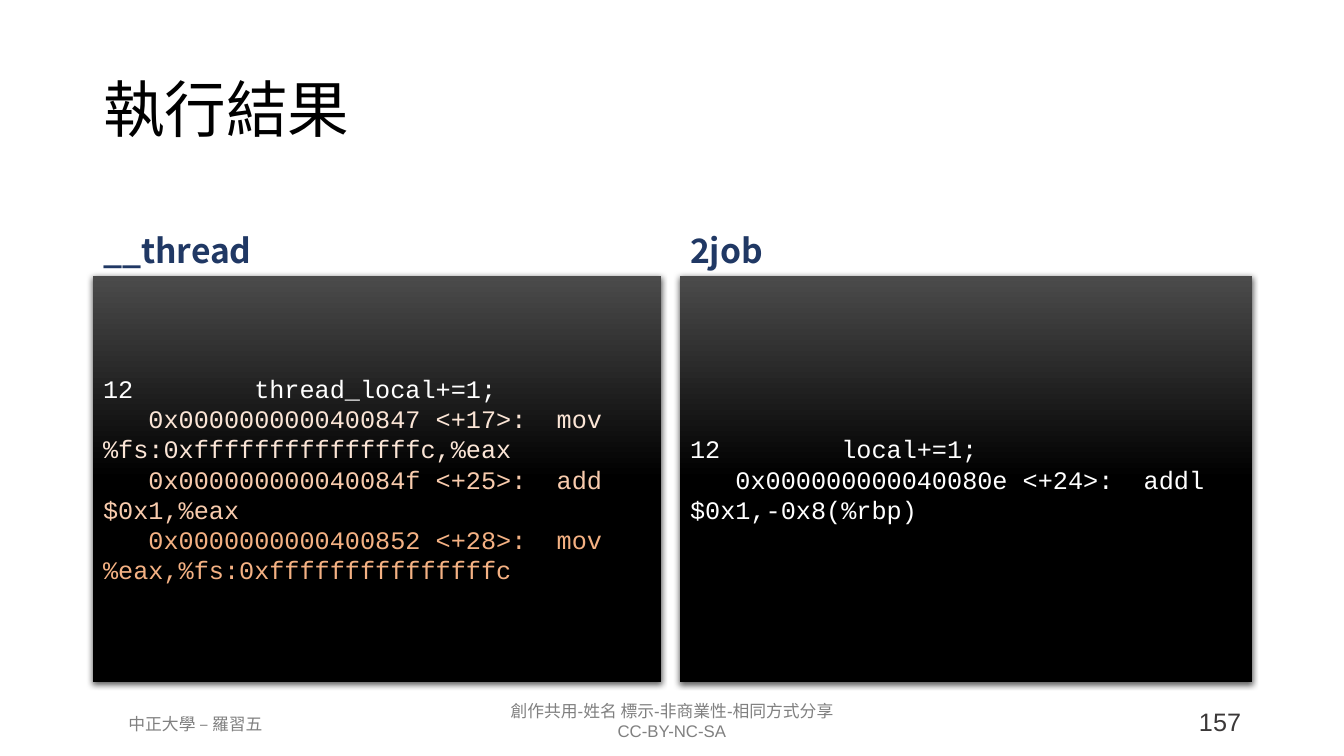
from lxml import etree
from pptx import Presentation
from pptx.dml.color import RGBColor
from pptx.enum.text import MSO_ANCHOR, MSO_AUTO_SIZE, PP_ALIGN
from pptx.oxml import parse_xml
from pptx.oxml.ns import nsdecls, qn
from pptx.util import Emu, Pt

LEFT, CENTER, RIGHT = PP_ALIGN.LEFT, PP_ALIGN.CENTER, PP_ALIGN.RIGHT
TOP, MIDDLE, BOTTOM = MSO_ANCHOR.TOP, MSO_ANCHOR.MIDDLE, MSO_ANCHOR.BOTTOM
NO_FIT = MSO_AUTO_SIZE.NONE

BLACK = RGBColor(0x00, 0x00, 0x00)
WHITE = RGBColor(0xFF, 0xFF, 0xFF)
CHARCOAL = RGBColor(0x4B, 0x4B, 0x4B)
NAVY = RGBColor(0x20, 0x38, 0x64)
GRAY = RGBColor(0x80, 0x80, 0x80)
DARK_GRAY = RGBColor(0x3B, 0x38, 0x38)
PEACH_1 = RGBColor(0xFB, 0xE5, 0xD6)
PEACH_2 = RGBColor(0xF8, 0xCB, 0xAD)
PEACH_3 = RGBColor(0xF4, 0xB1, 0x83)

SANS = "Noto Sans CJK SC"
MONO = "Courier New"
ARIAL = "Arial"

PX_PER_INCH = 100.8
HEADING_H = 91

THREAD_CODE = [
    ("12\t\t\tthread_local+=1;", WHITE),
    ("   0x0000000000400847 <+17>:\tmov    %fs:0xfffffffffffffffc,%eax", PEACH_1),
    ("   0x000000000040084f <+25>:\tadd    $0x1,%eax", PEACH_2),
    ("   0x0000000000400852 <+28>:\tmov    %eax,%fs:0xfffffffffffffffc", PEACH_3),
]
LOCAL_CODE = [
    ("12\t\t\tlocal+=1;", WHITE),
    ("   0x000000000040080e <+24>:\taddl   $0x1,-0x8(%rbp)", WHITE),
]


def px(n):
    return Emu(round(n * 914400 / PX_PER_INCH))


def place(sp, box):
    sp.left, sp.top, sp.width, sp.height = map(px, box)


def write(sp, lines, size, font, align=LEFT, anchor=TOP, bold=False, spacing=1.0):
    tf = sp.text_frame
    tf.word_wrap = True
    tf.auto_size = NO_FIT
    tf.vertical_anchor = anchor
    tf.text = "\n".join(text for text, _ in lines)
    for p, (_, color) in zip(tf.paragraphs, lines):
        pPr = p._p.get_or_add_pPr()
        pPr.set("marL", "0")
        pPr.set("indent", "0")
        etree.SubElement(pPr, qn("a:buNone"))
        p.alignment = align
        p.line_spacing = spacing
        p.space_before = Pt(0)
        for r in p.runs:
            r.font.size = Pt(size)
            r.font.bold = bold
            r.font.color.rgb = color
            r.font.name = font
            etree.SubElement(r._r.get_or_add_rPr(), qn("a:ea"), typeface=SANS)


def style_panel(sp):
    sp.fill.gradient()
    sp.fill.gradient_angle = 270
    for stop, color, position in zip(sp.fill.gradient_stops, (CHARCOAL, BLACK), (0, 0.5)):
        stop.color.rgb = color
        stop.position = position
    sp.line.fill.background()
    sp._element.spPr.append(parse_xml(
        f'<a:effectLst {nsdecls("a")}><a:outerShdw blurRad="{Pt(4.5)}" dist="{Pt(1.5)}" '
        'dir="5400000" algn="ctr" rotWithShape="0"><a:srgbClr val="000000">'
        '<a:alpha val="63000"/></a:srgbClr></a:outerShdw></a:effectLst>'))


def add_title(s, box):
    sp = s.shapes.title
    place(sp, box)
    write(sp, [("執行結果", BLACK)], 44, SANS, anchor=MIDDLE, spacing=0.9)


def add_column(heading, panel, box, name, code):
    x, y, w, h = box
    place(heading, (x, y, w, HEADING_H))
    write(heading, [(name, NAVY)], 24, SANS, anchor=BOTTOM, bold=True, spacing=0.9)
    place(panel, (x, y + HEADING_H, w, h - HEADING_H))
    style_panel(panel)
    write(panel, code, 18, MONO, anchor=MIDDLE)


def add_footer(s, box):
    x, y, w, h = box
    license_lines = [("創作共用-姓名 標示-非商業性-相同方式分享", GRAY), ("CC-BY-NC-SA", GRAY)]
    parts = [
        ((x + 355, y, 496, h), license_lines, 12, CENTER),
        ((x, y + 13, 253, 30), [("中正大學 – 羅習五", GRAY)], 12, CENTER),
        ((x + w - 247, y + 5, 247, 40), [("157", DARK_GRAY)], 18, RIGHT),
    ]
    for part_box, lines, size, align in parts:
        sp = s.shapes.add_textbox(*map(px, part_box))
        write(sp, lines, size, ARIAL, align)


def main():
    prs = Presentation()
    prs.slide_width, prs.slide_height = px(1344), px(756)
    s = prs.slides.add_slide(prs.slide_layouts[4])
    ph = s.placeholders
    add_title(s, (93, 40, 1159, 146))
    add_column(ph[1], ph[2], (93, 185, 568, 497), "__thread", THREAD_CODE)
    add_column(ph[3], ph[4], (680, 185, 572, 497), "2job", LOCAL_CODE)
    add_footer(s, (69, 696, 1182, 50))
    prs.save("out.pptx")


if __name__ == "__main__":
    main()
